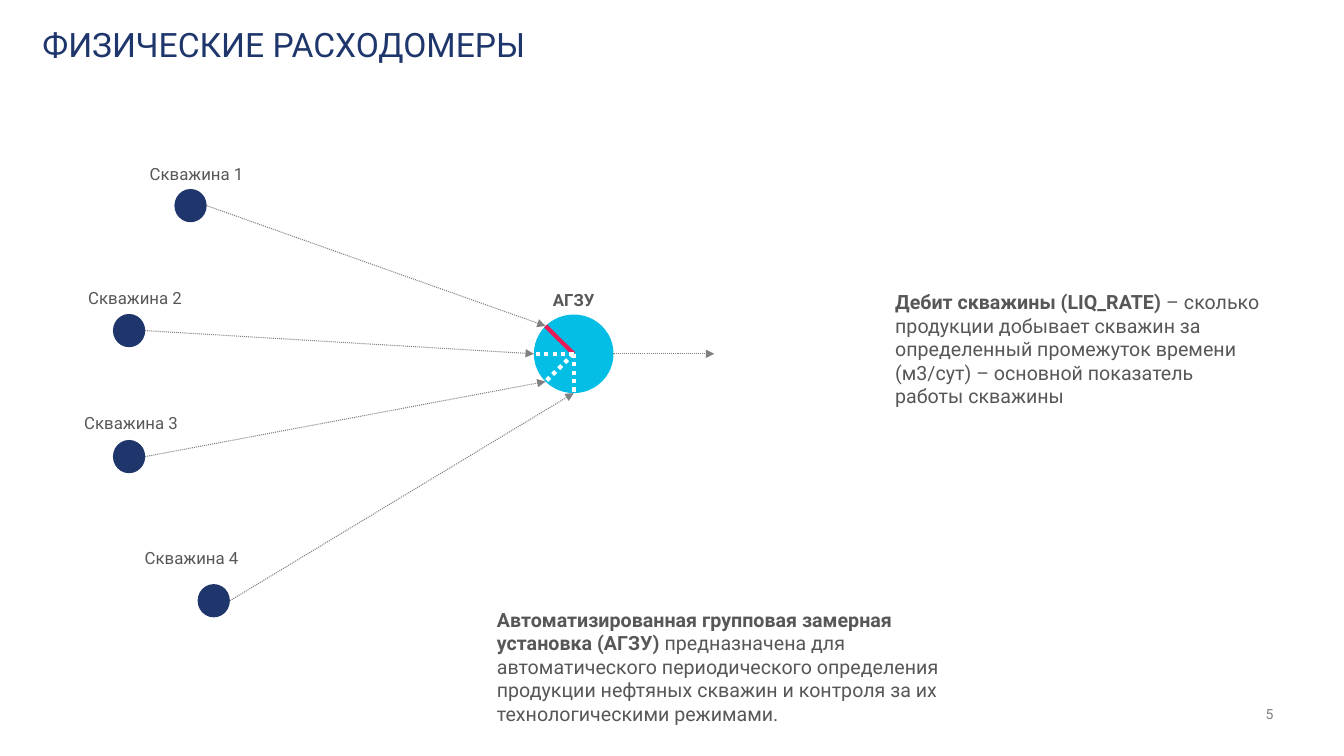
from math import cos, radians, sin

from lxml.etree import SubElement
from pptx import Presentation
from pptx.dml.color import RGBColor
from pptx.enum.dml import MSO_LINE
from pptx.enum.shapes import MSO_CONNECTOR, MSO_SHAPE
from pptx.enum.text import MSO_ANCHOR as Anchor, MSO_AUTO_SIZE, PP_ALIGN as Align
from pptx.oxml.ns import qn
from pptx.util import Inches, Pt

NAVY = RGBColor(0x1E, 0x36, 0x6B)
CYAN = RGBColor(0x05, 0xBE, 0xE6)
CRIMSON = RGBColor(0xE7, 0x1C, 0x57)
TEXT_GRAY = RGBColor(0x57, 0x57, 0x57)
LINE_GRAY = RGBColor(0x80, 0x80, 0x80)
WHITE = RGBColor(0xFF, 0xFF, 0xFF)
FONT = "Roboto"

TITLE = "ФИЗИЧЕСКИЕ РАСХОДОМЕРЫ"
PAGE_NUMBER = "5"
# name, circle centre, label centre, angle of the inlet on the meter, inlet colour
WELLS = [
    ("Скважина 1", (1.89, 2.04), (1.95, 1.74), 225, CRIMSON),
    ("Скважина 2", (1.28, 3.28), (1.34, 2.97), 180, WHITE),
    ("Скважина 3", (1.28, 4.53), (1.3, 4.21), 135, WHITE),
    ("Скважина 4", (2.12, 5.96), (1.9, 5.55), 90, WHITE),
]
METER_NAME, METER_LABEL_CENTER = "АГЗУ", (5.69, 2.99)
NOTES = [
    ((8.78, 2.83, 3.88, 1.28), "Дебит скважины (LIQ_RATE) ",
     "– сколько продукции добывает скважин за определенный промежуток времени "
     "(м3/сут) – основной показатель работы скважины"),
    ((4.83, 5.98, 4.88, 1.28), "Автоматизированная групповая замерная установка (АГЗУ) ",
     "предназначена для автоматического периодического определения продукции "
     "нефтяных скважин и контроля за их технологическими режимами."),
]

WELL_SIZE = (0.32, 0.33)
METER_CENTER, METER_SIZE = (5.69, 3.51), (0.79, 0.78)
LABEL_SIZE = (1.15, 0.32)
OUTLET_LENGTH = 1


def around(center, size):
    """Return left, top, width and height of a box with the given centre."""
    return (center[0] - size[0] / 2, center[1] - size[1] / 2, *size)


def rim_point(center, size, angle):
    """Return the point of an ellipse at an angle, clockwise from the right."""
    turn = radians(angle)
    return center[0] + size[0] / 2 * cos(turn), center[1] + size[1] / 2 * sin(turn)


def add_circle(page, center, size, color):
    circle = page.shapes.add_shape(MSO_SHAPE.OVAL, *map(Inches, around(center, size)))
    circle.shadow.inherit = False
    circle.fill.solid()
    circle.fill.fore_color.rgb = color
    circle.line.fill.background()


def add_line(page, start, end, color=LINE_GRAY, width=0.75, dotted=True, arrow=False):
    line = page.shapes.add_connector(MSO_CONNECTOR.STRAIGHT, *map(Inches, (*start, *end)))
    line.line.color.rgb = color
    line.line.width = Pt(width)
    if dotted:
        line.line.dash_style = MSO_LINE.ROUND_DOT
    properties = line._element.spPr
    if arrow:
        SubElement(properties.find(qn("a:ln")), qn("a:tailEnd"), type="triangle")
    SubElement(properties, qn("a:effectLst"))


def write(box, *spans, size=12, color=TEXT_GRAY, align=Align.LEFT, anchor=Anchor.TOP,
          wrap=True, inset=True, line_spacing=None, space_after=None):
    """Fill a box with one paragraph of (text, bold) spans."""
    frame = box.text_frame
    frame.auto_size = MSO_AUTO_SIZE.NONE
    frame.word_wrap = wrap
    frame.vertical_anchor = anchor
    if not inset:
        frame.margin_left = frame.margin_top = frame.margin_right = frame.margin_bottom = 0
    para = frame.paragraphs[0]
    para.alignment = align
    para.line_spacing = line_spacing
    para.space_after = space_after
    for text, bold in spans:
        span = para.add_run()
        span.text = text
        span.font.name = FONT
        span.font.size = Pt(size)
        span.font.bold = bold
        span.font.color.rgb = color


def add_text(page, place, *spans, **style):
    write(page.shapes.add_textbox(*map(Inches, place)), *spans, **style)


def add_label(page, center, name, bold=False):
    add_text(page, around(center, LABEL_SIZE), (name, bold), align=Align.CENTER,
             anchor=Anchor.MIDDLE, wrap=False, inset=False, line_spacing=0.9,
             space_after=Pt(6))


def main():
    deck = Presentation()
    deck.slide_width, deck.slide_height = Inches(13.33), Inches(7.5)
    page = deck.slides.add_slide(deck.slide_layouts[5])

    title = page.shapes.title
    title.left, title.top, title.width, title.height = map(Inches, (0.42, 0.28, 12.48, 0.67))
    write(title, (TITLE, False), size=24, color=NAVY, inset=False, line_spacing=0.9)
    add_text(page, (12.21, 7, 0.42, 0.17), (PAGE_NUMBER, False), size=10, color=LINE_GRAY,
             align=Align.RIGHT, anchor=Anchor.BOTTOM, inset=False)

    add_circle(page, METER_CENTER, METER_SIZE, CYAN)
    add_label(page, METER_LABEL_CENTER, METER_NAME, bold=True)
    for name, center, label_center, angle, color in WELLS:
        inlet = rim_point(METER_CENTER, METER_SIZE, angle)
        add_circle(page, center, WELL_SIZE, NAVY)
        add_label(page, label_center, name)
        add_line(page, rim_point(center, WELL_SIZE, 0), inlet, arrow=True)
        add_line(page, METER_CENTER, inlet, color, width=3, dotted=color == WHITE)

    outlet = rim_point(METER_CENTER, METER_SIZE, 0)
    add_line(page, outlet, (outlet[0] + OUTLET_LENGTH, outlet[1]), arrow=True)

    for place, term, meaning in NOTES:
        add_text(page, place, (term, True), (meaning, False), size=14)

    deck.save("out.pptx")


if __name__ == "__main__":
    main()
